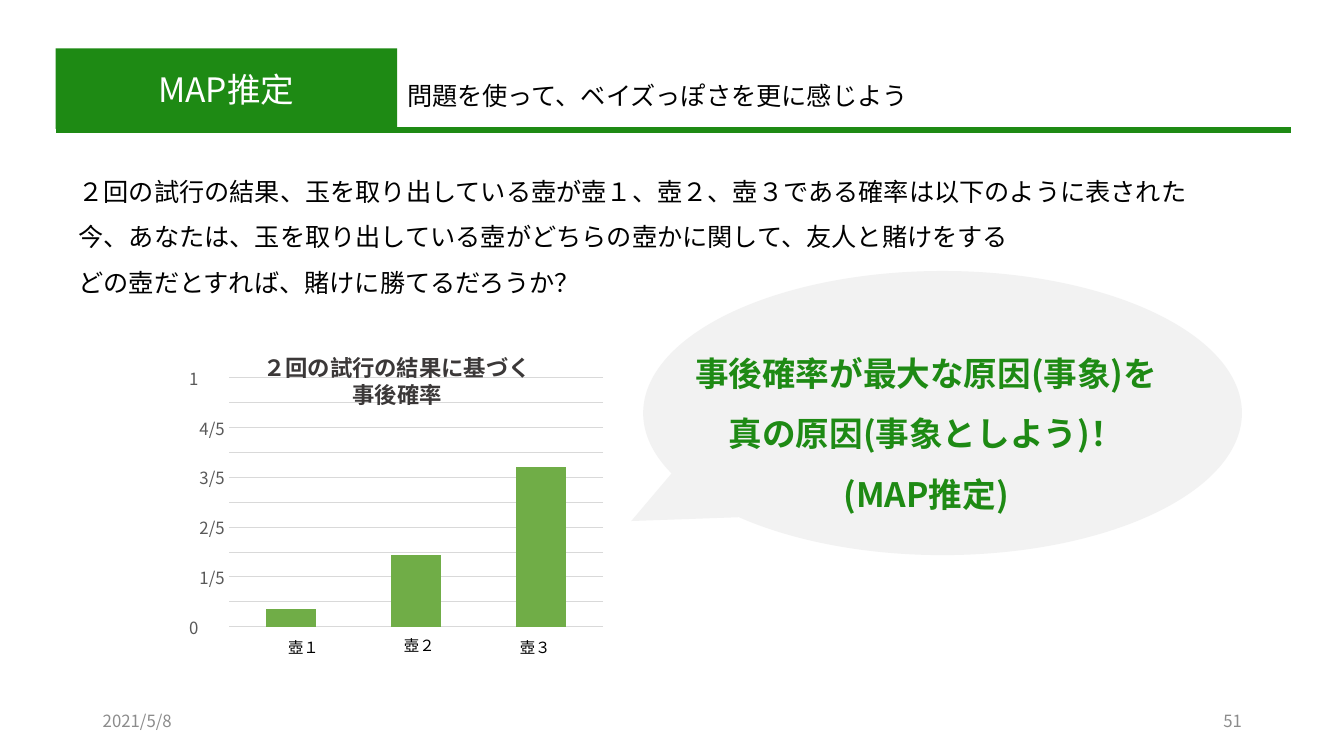
from copy import deepcopy
from lxml.etree import SubElement
from pptx import Presentation
from pptx.chart.data import CategoryChartData
from pptx.dml.color import RGBColor
from pptx.enum.chart import XL_CHART_TYPE, XL_TICK_MARK
from pptx.enum.shapes import MSO_CONNECTOR, MSO_SHAPE
from pptx.enum.text import MSO_ANCHOR, MSO_AUTO_SIZE, PP_ALIGN
from pptx.oxml import parse_xml
from pptx.oxml.ns import nsdecls, qn
from pptx.util import Cm, Pt

COLORS = {
    "green": "1E8A14", "bar": "70AD47", "bubble": "F2F2F2", "grid": "D9D9D9",
    "black": "000000", "white": "FFFFFF", "heading": "3B3838",
    "axis": "595959", "footer": "8C8C8C",
}
FONT = "Noto Sans CJK JP"


def color(name):
    return RGBColor.from_string(COLORS[name])


def write(frame, text, size=18, ink="black", bold=False, align=PP_ALIGN.LEFT,
          spacing=1.0, anchor=MSO_ANCHOR.TOP, wrap=True):
    frame.word_wrap = wrap
    frame.auto_size = MSO_AUTO_SIZE.NONE
    frame.vertical_anchor = anchor
    for index, line in enumerate(text.split("\n")):
        para = frame.paragraphs[0] if index == 0 else frame.add_paragraph()
        para.alignment = align
        para.line_spacing = spacing
        span = para.add_run()
        span.text = line
        span.font.size = Pt(size)
        span.font.bold = bold
        span.font.name = FONT
        span.font.color.rgb = color(ink)
        SubElement(span._r.get_or_add_rPr(), qn("a:ea"), typeface=FONT)


class SlideBuilder:
    """Adds consistently styled elements to one slide."""

    def __init__(self, page):
        self.page = page

    def title(self, text, area, fill):
        box = self.page.shapes.title
        box.left, box.top, box.width, box.height = map(Cm, area)
        box.fill.solid()
        box.fill.fore_color.rgb = color(fill)
        write(box.text_frame, text, size=24, ink="white",
              align=PP_ALIGN.CENTER, anchor=MSO_ANCHOR.MIDDLE)

    def text(self, text, area, **style):
        box = self.page.shapes.add_textbox(*map(Cm, area))
        write(box.text_frame, text, **style)

    def rule(self, start, end, width, ink):
        line = self.page.shapes.add_connector(
            MSO_CONNECTOR.STRAIGHT, *map(Cm, start + end))
        line.line.width = Pt(width)
        line.line.color.rgb = color(ink)
        SubElement(line._element.spPr, qn("a:effectLst"))

    def callout(self, area, tip, fill):
        bubble = self.page.shapes.add_shape(
            MSO_SHAPE.OVAL_CALLOUT, *map(Cm, area))
        bubble.adjustments[0], bubble.adjustments[1] = tip
        bubble.shadow.inherit = False
        bubble.fill.solid()
        bubble.fill.fore_color.rgb = color(fill)
        bubble.line.fill.background()

    def columns(self, area, categories, values, plot):
        data = CategoryChartData()
        data.categories = categories
        data.add_series("事後確率", values)
        chart = self.page.shapes.add_chart(
            XL_CHART_TYPE.COLUMN_STACKED, *map(Cm, area), data).chart
        chart.has_title = False
        chart.has_legend = False
        chart.font.name = FONT
        chart.font.size = Pt(10)
        chart.font.color.rgb = color("black")
        bars = chart.plots[0]
        bars.gap_width = 150
        bars.overlap = 100
        bars.vary_by_categories = False
        bars.series[0].format.fill.solid()
        bars.series[0].format.fill.fore_color.rgb = color("bar")
        chart.category_axis.visible = False
        self.value_axis(chart.value_axis)
        self.place_plot(chart, plot)

    def value_axis(self, axis):
        axis.minimum_scale, axis.maximum_scale = 0, 1
        axis.major_unit, axis.minor_unit = 0.2, 0.1
        axis.major_tick_mark = axis.minor_tick_mark = XL_TICK_MARK.NONE
        axis.has_major_gridlines = axis.has_minor_gridlines = True
        grid = axis.major_gridlines.format.line
        grid.width = Pt(0.75)
        grid.color.rgb = color("grid")
        major, minor = (axis._element.find(qn(f"c:{kind}Gridlines"))
                        for kind in ("major", "minor"))
        minor.append(deepcopy(major.find(qn("c:spPr"))))
        axis.format.line.fill.background()
        labels = axis.tick_labels
        labels.number_format = r"#\ ?/?"
        labels.number_format_is_linked = False
        labels.font.name = FONT
        labels.font.size = Pt(12)
        labels.font.color.rgb = color("axis")

    def place_plot(self, chart, plot):
        area = chart._chartSpace.find(".//" + qn("c:plotArea"))
        for layout in area.findall(qn("c:layout")):
            area.remove(layout)
        sizes = "".join(f'<c:{key} val="{value}"/>'
                        for key, value in zip("xywh", plot))
        area.insert(0, parse_xml(
            f'<c:layout {nsdecls("c")}><c:manualLayout>'
            '<c:layoutTarget val="inner"/><c:xMode val="edge"/>'
            f'<c:yMode val="edge"/>{sizes}</c:manualLayout></c:layout>'))


def main():
    deck = Presentation()
    deck.slide_width, deck.slide_height = Cm(33.87), Cm(19.05)
    page = deck.slides.add_slide(deck.slide_layouts[5])
    slide = SlideBuilder(page)

    slide.rule((1.4, 3.28), (32.54, 3.28), 4.5, "green")
    slide.title("MAP推定", (1.4, 1.22, 8.61, 2.03), "green")
    slide.text("問題を使って、ベイズっぽさを更に感じよう",
               (10.01, 1.91, 13.34, 1.02), wrap=False)
    slide.columns((4.57, 9.09, 10.85, 7.21), ("1", "2", "3"),
                  (0.07, 0.29, 0.64), (0.11, 0.06, 0.87, 0.87))
    slide.text("２回の試行の結果、玉を取り出している壺が壺１、壺２、壺３である確率は以下のように表された\n"
               "今、あなたは、玉を取り出している壺がどちらの壺かに関して、友人と賭けをする\n"
               "どの壺だとすれば、賭けに勝てるだろうか？",
               (1.73, 3.94, 30.12, 3.58), spacing=1.5)
    for index, (jar, top) in enumerate(
            (("壺１", 15.95), ("壺２", 15.9), ("壺３", 15.95))):
        slide.text(jar, (7.01 + 2.92 * index, top, 1.47, 0.74),
                   size=11, anchor=MSO_ANCHOR.MIDDLE)
    slide.callout((16.21, 6.83, 15.09, 7.16), (-0.52, 0.38), "bubble")
    slide.text("事後確率が最大な原因(事象)を\n真の原因(事象としよう)！\n(MAP推定)",
               (17.09, 8.26, 12.5, 4.67), size=24, ink="green", bold=True,
               align=PP_ALIGN.CENTER, spacing=1.5)
    slide.text("２回の試行の結果に基づく\n事後確率", (6.25, 8.79, 7.52, 1.63),
               size=16, ink="heading", bold=True, align=PP_ALIGN.CENTER)
    for text, left, align in (("2021/5/8", 2.34, PP_ALIGN.LEFT),
                              ("51", 23.93, PP_ALIGN.RIGHT)):
        slide.text(text, (left, 17.65, 7.62, 1.02), size=12, ink="footer",
                   align=align, anchor=MSO_ANCHOR.MIDDLE)
    deck.save("out.pptx")


if __name__ == "__main__":
    main()
